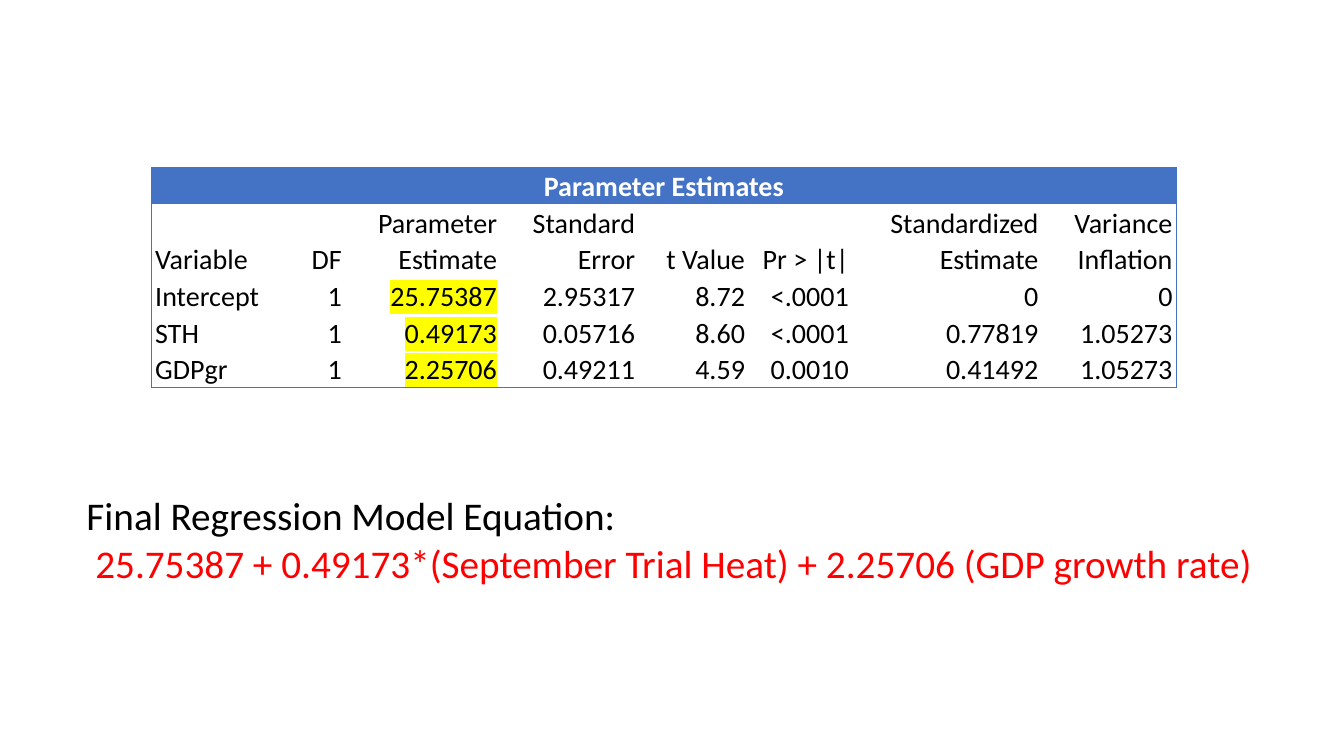
from pptx import Presentation
from pptx.dml.color import RGBColor as Color
from pptx.enum.text import MSO_ANCHOR as Anchor, MSO_AUTO_SIZE as AutoSize, PP_ALIGN as Align
from pptx.oxml import parse_xml
from pptx.oxml.ns import nsdecls
from pptx.util import Inches, Pt

THEME = {
    "font": "Calibri", "table_size": Pt(20), "equation_size": Pt(28),
    "blue": "4472C4", "white": "FFFFFF", "black": "000000",
    "red": "FF0000", "yellow": "FFFF00",
}
ROW_HEIGHT = 0.36
COLUMN_WIDTHS = [1.36, 0.57, 1.54, 1.37, 1.09, 1.03, 1.88, 1.33]
ESTIMATES = [
    ["Parameter Estimates"] + [""] * 7,
    ["Variable", "DF", "Parameter\nEstimate", "Standard\nError", "t Value", "Pr > |t|",
     "Standardized\nEstimate", "Variance\nInflation"],
    ["Intercept", "1", "25.75387", "2.95317", "8.72", "<.0001", "0", "0"],
    ["STH", "1", "0.49173", "0.05716", "8.60", "<.0001", "0.77819", "1.05273"],
    ["GDPgr", "1", "2.25706", "0.49211", "4.59", "0.0010", "0.41492", "1.05273"],
]
EQUATION = [
    ("Final Regression Model Equation:", "black"),
    (" 25.75387 + 0.49173*(September Trial Heat) + 2.25706 (GDP growth rate)", "red"),
]


def format_runs(paragraph, size, color, bold=False):
    for run in paragraph.runs:
        run.font.size = size
        run.font.bold = bold
        run.font.color.rgb = Color.from_string(THEME[color])
        run.font.name = THEME["font"]


def add_border(cell, side, visible):
    paint = f'<a:solidFill><a:srgbClr val="{THEME["blue"]}"/></a:solidFill>' if visible else "<a:noFill/>"
    border = f'<a:ln{side} {nsdecls("a")} w="{Pt(0.5)}">{paint}</a:ln{side}>'
    cell._tc.get_or_add_tcPr().append(parse_xml(border))


presentation = Presentation()
presentation.slide_width = Inches(13.33)
presentation.slide_height = Inches(7.5)
slide = presentation.slides.add_slide(presentation.slide_layouts[6])

last_row, last_column = len(ESTIMATES) - 1, len(COLUMN_WIDTHS) - 1
table = slide.shapes.add_table(
    len(ESTIMATES), len(COLUMN_WIDTHS), Inches(1.5), Inches(1.66),
    Inches(sum(COLUMN_WIDTHS)), Inches(ROW_HEIGHT * (len(ESTIMATES) + 1))).table
table.first_row = False
table.horz_banding = False
for column, width in zip(table.columns, COLUMN_WIDTHS):
    column.width = Inches(width)
for index, row in enumerate(table.rows):
    row.height = Inches(ROW_HEIGHT * (2 if index == 1 else 1))
table.cell(0, 0).merge(table.cell(0, last_column))

for row_index, values in enumerate(ESTIMATES):
    is_title = row_index == 0
    for column_index, value in enumerate(values):
        cell = table.cell(row_index, column_index)
        cell.margin_left = cell.margin_right = Inches(0.04)
        cell.margin_top = cell.margin_bottom = 0
        cell.vertical_anchor = Anchor.BOTTOM if row_index < 2 else Anchor.TOP
        add_border(cell, "L", column_index == 0)
        add_border(cell, "R", is_title or column_index == last_column)
        add_border(cell, "T", is_title)
        add_border(cell, "B", row_index == last_row)
        if is_title:
            cell.fill.solid()
            cell.fill.fore_color.rgb = Color.from_string(THEME["blue"])
        else:
            cell.fill.background()

        paragraph = cell.text_frame.paragraphs[0]
        paragraph.text = value
        paragraph.line_spacing = 1.07
        paragraph.space_after = Pt(3)
        paragraph.alignment = Align.CENTER if is_title else Align.RIGHT if column_index else Align.LEFT
        format_runs(paragraph, THEME["table_size"], "white" if is_title else "black", is_title)
        if row_index > 1 and column_index == 2:
            highlight = f'<a:highlight {nsdecls("a")}><a:srgbClr val="{THEME["yellow"]}"/></a:highlight>'
            properties = paragraph.runs[0].font._element
            properties.insert(1, parse_xml(highlight))

equation_box = slide.shapes.add_textbox(Inches(0.76), Inches(4.83), Inches(12.57), Inches(1.04))
text_frame = equation_box.text_frame
text_frame.word_wrap = True
text_frame.auto_size = AutoSize.SHAPE_TO_FIT_TEXT
text_frame.text = "\n".join(line for line, color in EQUATION)
for paragraph, (line, color) in zip(text_frame.paragraphs, EQUATION):
    format_runs(paragraph, THEME["equation_size"], color)

presentation.save("out.pptx")
